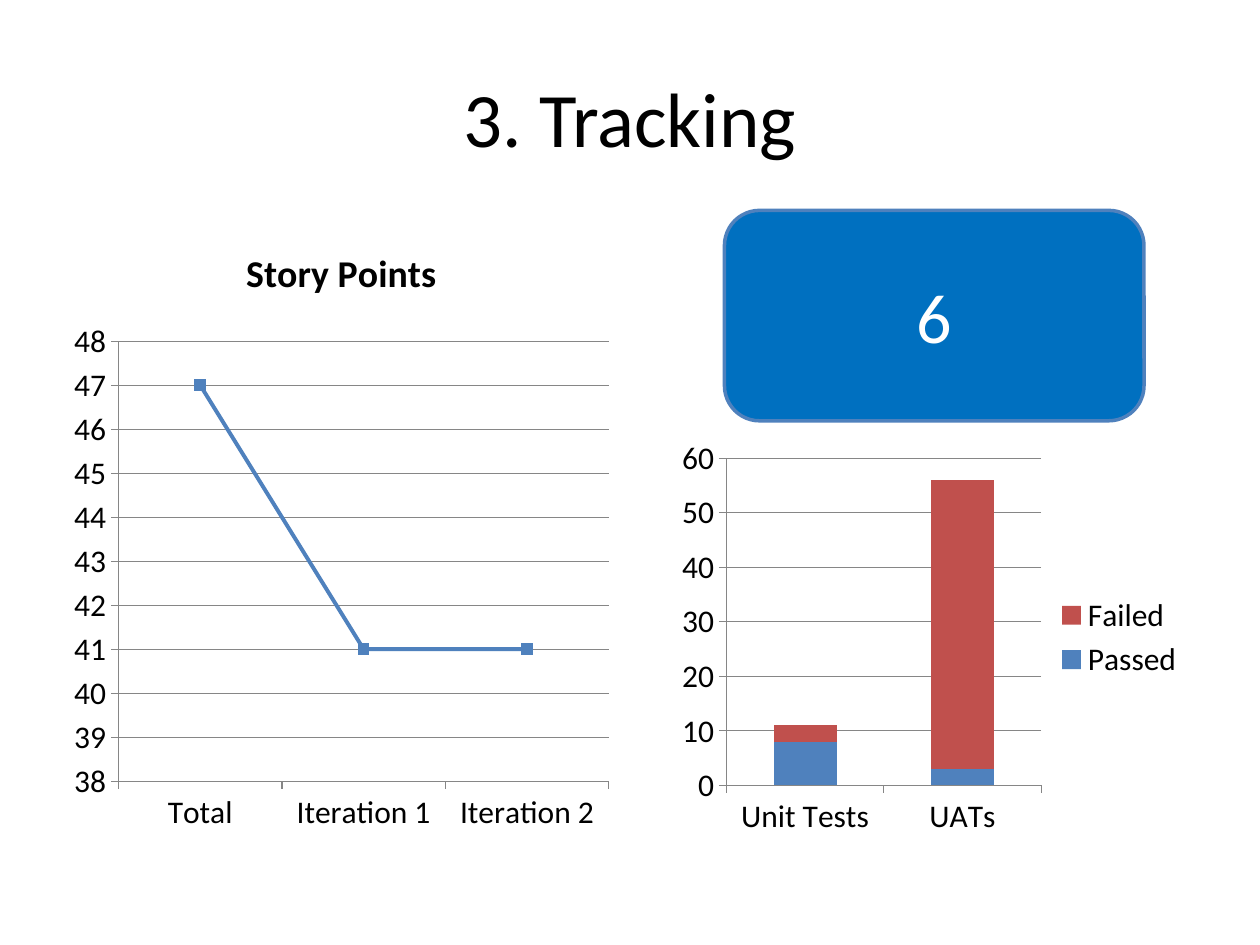
from pptx import Presentation
from pptx.chart.data import CategoryChartData
from pptx.dml.color import RGBColor
from pptx.enum.chart import XL_CHART_TYPE, XL_LEGEND_POSITION, XL_MARKER_STYLE, XL_TICK_MARK
from pptx.enum.shapes import MSO_SHAPE
from pptx.enum.text import MSO_ANCHOR, PP_ALIGN
from pptx.util import Inches, Pt

LINE = XL_CHART_TYPE.LINE_MARKERS
STACKED = XL_CHART_TYPE.COLUMN_STACKED
RIGHT = XL_LEGEND_POSITION.RIGHT
SQUARE = XL_MARKER_STYLE.SQUARE
OUTSIDE = XL_TICK_MARK.OUTSIDE
ROUNDED = MSO_SHAPE.ROUNDED_RECTANGLE
MIDDLE = MSO_ANCHOR.MIDDLE
CENTER = PP_ALIGN.CENTER

FONT = "Calibri"
BLACK, WHITE, GRAY = "000000", "FFFFFF", "868686"
BLUE, RED, BADGE = "4F81BD", "C0504D", "0070C0"

TITLE = ("3. Tracking", (0.5, 0.3, 9, 1.25))
VELOCITY = ("6", (5.75, 1.67, 3.33, 1.67))
STORY_POINTS = {
    "type": LINE,
    "box": (0.5, 1.75, 4.42, 4.95),
    "cats": ["Total", "Iteration 1", "Iteration 2"],
    "series": [("Story Points", [47, 41, 41], BLUE)],
    "scale": (38, 48, 1),
}
TESTS = {
    "type": STACKED,
    "box": (5.33, 3.42, 4.17, 3.28),
    "cats": ["Unit Tests", "UATs"],
    "series": [("Passed", [8, 3], BLUE), ("Failed", [3, 53], RED)],
    "scale": (0, 60, 10),
}


def rgb(value):
    return RGBColor.from_string(value)


def place(box):
    return [Inches(v) for v in box]


def style_font(font, size, color):
    font.name = FONT
    font.size = Pt(size)
    font.color.rgb = rgb(color)


def style_line(line, color, width):
    line.color.rgb = rgb(color)
    line.width = Pt(width)


def set_text(sp, text, size, color):
    tf = sp.text_frame
    tf.word_wrap = True
    tf.vertical_anchor = MIDDLE
    p = tf.paragraphs[0]
    p.text = text
    p.alignment = CENTER
    style_font(p.runs[0].font, size, color)


def add_chart(s, spec_data):
    data = CategoryChartData()
    data.categories = spec_data["cats"]
    for name, values, _ in spec_data["series"]:
        data.add_series(name, values)
    chart = s.shapes.add_chart(spec_data["type"], *place(spec_data["box"]), data).chart
    style_font(chart.font, 18, BLACK)
    chart.has_title = False
    chart.has_legend = False
    value_axis = chart.value_axis
    value_axis.minimum_scale, value_axis.maximum_scale, value_axis.major_unit = spec_data["scale"]
    value_axis.has_major_gridlines = True
    style_line(value_axis.major_gridlines.format.line, GRAY, 0.75)
    for axis in (chart.category_axis, value_axis):
        axis.major_tick_mark = OUTSIDE
        style_line(axis.format.line, GRAY, 0.75)
    chart.plots[0].vary_by_categories = False
    return chart


prs = Presentation()
prs.slide_width, prs.slide_height = Inches(10), Inches(7.5)
s = prs.slides.add_slide(prs.slide_layouts[6])

text, box = TITLE
set_text(s.shapes.add_textbox(*place(box)), text, 44, BLACK)

chart = add_chart(s, STORY_POINTS)
chart.has_title = True
p = chart.chart_title.text_frame.paragraphs[0]
p.text = "Story Points"
style_font(p.runs[0].font, 21.6, BLACK)
p.runs[0].font.bold = True
for series, (_, _, color) in zip(chart.series, STORY_POINTS["series"]):
    series.smooth = False
    style_line(series.format.line, color, 2.25)
    series.marker.style = SQUARE
    series.marker.size = 6
    series.marker.format.fill.solid()
    series.marker.format.fill.fore_color.rgb = rgb(color)
    style_line(series.marker.format.line, color, 0.75)

chart = add_chart(s, TESTS)
chart.has_legend = True
chart.legend.position = RIGHT
chart.legend.include_in_layout = False
chart.plots[0].gap_width = 150
chart.plots[0].overlap = 100
for series, (_, _, color) in zip(chart.series, TESTS["series"]):
    series.format.fill.solid()
    series.format.fill.fore_color.rgb = rgb(color)

text, box = VELOCITY
sp = s.shapes.add_shape(ROUNDED, *place(box))
sp.shadow.inherit = False
sp.fill.solid()
sp.fill.fore_color.rgb = rgb(BADGE)
style_line(sp.line, BLUE, 2)
set_text(sp, text, 40, WHITE)

prs.save("out.pptx")
